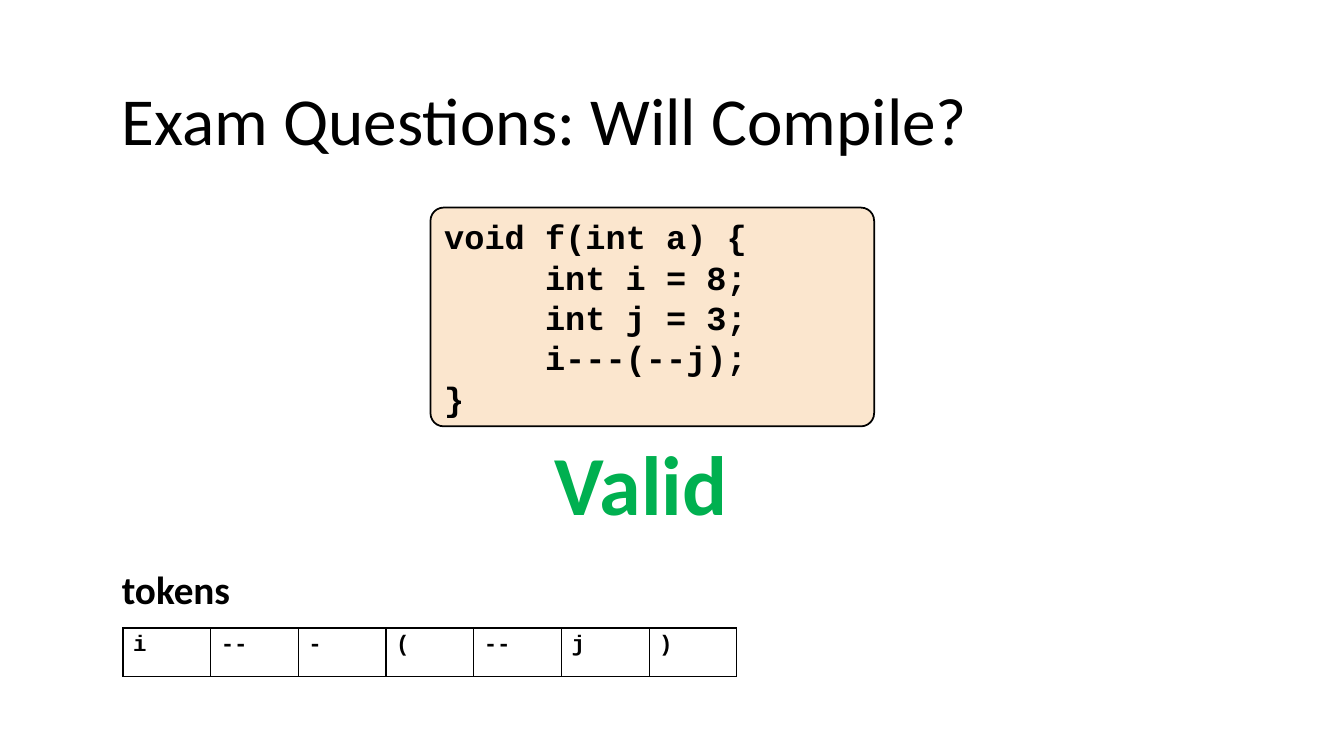
import pptx
import pptx.util
import pptx.dml.color
import pptx.enum.shapes
import pptx.enum.text
import pptx.oxml.ns
import lxml.etree

COLORS = {"ink": "000000", "valid": "00B050", "code": "FBE6CE"}
TEXT_LEFT = 1.11
COLUMN_WIDTH = 0.87
ROW_HEIGHT = 0.48


def color(name):
    return pptx.dml.color.RGBColor.from_string(COLORS[name])


def write_lines(text_frame, lines, size, font_name, bold=True, ink="ink", **layout):
    for index, line in enumerate(lines):
        paragraph = text_frame.paragraphs[0] if index == 0 else text_frame.add_paragraph()
        for attribute, value in layout.items():
            setattr(paragraph, attribute, value)
        run = paragraph.add_run()
        run.text = line
        font_values = {"size": pptx.util.Pt(size), "name": font_name, "bold": bold}
        for attribute, value in font_values.items():
            setattr(run.font, attribute, value)
        run.font.color.rgb = color(ink)


presentation = pptx.Presentation()
presentation.slide_width = pptx.util.Inches(13.33)
presentation.slide_height = pptx.util.Inches(7.5)
slide = presentation.slides.add_slide(presentation.slide_layouts[6])
qualified = pptx.oxml.ns.qn

align = pptx.enum.text.PP_ALIGN
labels = [
    ("Exam Questions: Will Compile?", (TEXT_LEFT, 0.73, 11.09, 0.91), 48, False, "ink", align.LEFT),
    ("Valid", (5.13, 4.23, 2.46, 2.12), 60, True, "valid", align.CENTER),
    ("tokens", (TEXT_LEFT, 5.56, 1.93, 0.57), 28, True, "ink", align.LEFT),
]
for text, box, size, bold, ink, alignment in labels:
    label = slide.shapes.add_textbox(*map(pptx.util.Inches, box))
    label.text_frame.word_wrap = True
    write_lines(label.text_frame, [text], size, "Calibri", bold, ink, alignment=alignment)

code_box = slide.shapes.add_shape(
    pptx.enum.shapes.MSO_SHAPE.ROUNDED_RECTANGLE,
    *map(pptx.util.Inches, (4.27, 2.06, 4.4, 2.17)),
)
code_box.adjustments[0] = 0.06
code_box.shadow.inherit = False
code_box.fill.solid()
code_box.fill.fore_color.rgb = color("code")
code_box.line.color.rgb = color("ink")
code_box.line.width = pptx.util.Pt(1.25)
code_box.text_frame.word_wrap = True
code_box.text_frame.vertical_anchor = pptx.enum.text.MSO_ANCHOR.MIDDLE
code_lines = ["void f(int a) {", "\tint i = 8;", "\tint j = 3;", "\ti---(--j);", "}"]
write_lines(code_box.text_frame, code_lines, 24, "Courier New", alignment=align.LEFT)
for paragraph in code_box.text_frame.paragraphs:
    paragraph_properties = paragraph._p.get_or_add_pPr()
    tab_list = lxml.etree.SubElement(paragraph_properties, qualified("a:tabLst"))
    lxml.etree.SubElement(tab_list, qualified("a:tab"), pos=str(pptx.util.Inches(1)), algn="l")

tokens = ["i", "--", "-", "(", "--", "j", ")"]
token_frame = slide.shapes.add_table(
    1, len(tokens),
    *map(pptx.util.Inches, (1.22, 6.23, COLUMN_WIDTH * len(tokens), ROW_HEIGHT)),
)
token_table = token_frame.table
token_table.first_row = False
token_table.horz_banding = False
for column, token in enumerate(tokens):
    token_table.columns[column].width = pptx.util.Inches(COLUMN_WIDTH)
    cell = token_table.cell(0, column)
    write_lines(cell.text_frame, [token], 16, "Courier New")
    cell_properties = cell._tc.get_or_add_tcPr()
    for side in ("a:lnL", "a:lnR", "a:lnT", "a:lnB"):
        border = lxml.etree.SubElement(cell_properties, qualified(side), w=str(pptx.util.Pt(1)))
        border_fill = lxml.etree.SubElement(border, qualified("a:solidFill"))
        lxml.etree.SubElement(border_fill, qualified("a:srgbClr"), val=COLORS["ink"])
    cell.fill.background()

presentation.save("out.pptx")
